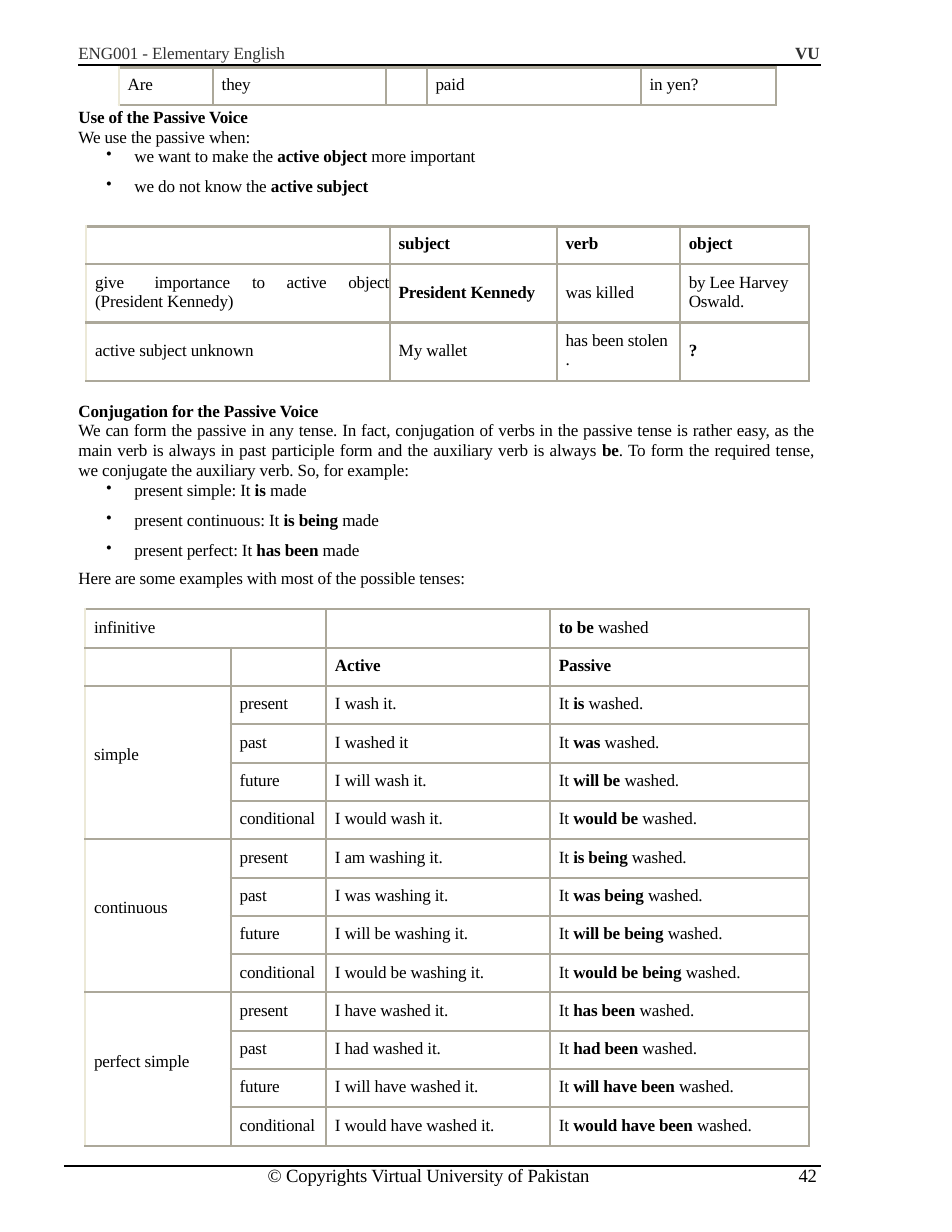
from dataclasses import dataclass
from typing import Optional

from lxml.etree import SubElement
from pptx import Presentation
from pptx.dml.color import RGBColor
from pptx.enum.shapes import MSO_CONNECTOR
from pptx.enum.text import MSO_ANCHOR, MSO_AUTO_SIZE, PP_ALIGN
from pptx.oxml import parse_xml
from pptx.oxml.ns import nsdecls, qn
from pptx.util import Inches, Pt

COLORS = {"ink": "000000", "header": "323232", "border": "ACA89A", "edge": "ECE9D8"}
FONT = "Times New Roman"


@dataclass
class Passage:
    left: float
    top: float
    width: float
    height: float
    lines: list[str]
    size: float = 11
    color: str = "ink"
    leading: Optional[float] = None
    bulleted: bool = False
    justified: bool = False


@dataclass
class Grid:
    left: float
    top: float
    columns: list[float]
    heights: list[float]
    rows: list[list[str]]
    top_border: float = 2.25


def write_line(paragraph, marked: str, size: float = 11, color: str = "ink") -> None:
    for position, part in enumerate(marked.split("**")):
        if not part:
            continue
        run = paragraph.add_run()
        run.text = part
        run.font.name = FONT
        run.font.size = Pt(size)
        run.font.bold = position % 2 == 1
        run.font.color.rgb = RGBColor.from_string(COLORS[color])
        run.font._element.set("spc", "-10")


def add_bullet(paragraph) -> None:
    properties = paragraph._p.get_or_add_pPr()
    properties.set("marL", str(Inches(0.26)))
    properties.set("indent", str(Inches(-0.25)))
    SubElement(properties, qn("a:buSzPct")).set("val", "91000")
    SubElement(properties, qn("a:buChar")).set("char", "•")


def fill_passage(shape, passage: Passage) -> None:
    shape.left, shape.top = Inches(passage.left), Inches(passage.top)
    shape.width, shape.height = Inches(passage.width), Inches(passage.height)
    frame = shape.text_frame
    frame.word_wrap = True
    frame.auto_size = MSO_AUTO_SIZE.NONE
    frame.vertical_anchor = MSO_ANCHOR.TOP
    frame.margin_left = Inches(0 if passage.bulleted else 0.01)
    frame.margin_top = Inches(0.09 if passage.bulleted else 0.01)
    frame.margin_right = frame.margin_bottom = 0
    for index, line in enumerate(passage.lines):
        paragraph = frame.add_paragraph() if index else frame.paragraphs[0]
        if passage.bulleted:
            add_bullet(paragraph)
            if index:
                paragraph.space_before = Pt(6)
        paragraph.alignment = PP_ALIGN.JUSTIFY if passage.justified else PP_ALIGN.LEFT
        if passage.leading:
            paragraph.line_spacing = Pt(passage.leading)
        write_line(paragraph, line, passage.size, passage.color)


def add_passage(slide, passage: Passage) -> None:
    fill_passage(slide.shapes.add_textbox(0, 0, 0, 0), passage)


def add_rule(slide, left: float, right: float, y: float) -> None:
    rule = slide.shapes.add_connector(
        MSO_CONNECTOR.STRAIGHT, Inches(left), Inches(y), Inches(right), Inches(y))
    rule.line.color.rgb = RGBColor.from_string(COLORS["ink"])
    rule.line.width = Pt(1.5)
    SubElement(rule._element.spPr, qn("a:effectLst"))


def draw_borders(cell, outer_left: bool, top_width: float) -> None:
    properties = cell._tc.get_or_add_tcPr()
    sides = [("lnL", "edge" if outer_left else "border", 1.5), ("lnR", "border", 1.5),
             ("lnT", "border", top_width), ("lnB", "border", 1.5)]
    for index, (side, color, width) in enumerate(sides):
        properties.insert(index, parse_xml(
            f'<a:{side} {nsdecls("a")} w="{Pt(width)}"><a:solidFill>'
            f'<a:srgbClr val="{COLORS[color]}"/></a:solidFill></a:{side}>'))


def add_grid(slide, grid: Grid):
    table = slide.shapes.add_table(
        len(grid.rows), len(grid.columns), Inches(grid.left), Inches(grid.top),
        Inches(sum(grid.columns)), Inches(sum(grid.heights))).table
    table.first_row = table.horz_banding = False
    for column, width in zip(table.columns, grid.columns):
        column.width = Inches(width)
    for r, (texts, height) in enumerate(zip(grid.rows, grid.heights)):
        table.rows[r].height = Inches(height)
        for c, text in enumerate(texts):
            cell = table.cell(r, c)
            cell.margin_left = Inches(0.08)
            cell.margin_right = cell.margin_top = 0
            cell.margin_bottom = Inches(0.02)
            cell.vertical_anchor = MSO_ANCHOR.MIDDLE
            cell.fill.background()
            draw_borders(cell, c == 0, 1.5 if r else grid.top_border)
            for index, line in enumerate(text.split("\n")):
                frame = cell.text_frame
                paragraph = frame.add_paragraph() if index else frame.paragraphs[0]
                write_line(paragraph, line)
    return table


def add_tab_stops(paragraph, stops: list[float]) -> None:
    tabs = SubElement(paragraph._p.get_or_add_pPr(), qn("a:tabLst"))
    for stop in stops:
        tab = SubElement(tabs, qn("a:tab"))
        tab.set("pos", str(Inches(stop)))
        tab.set("algn", "l")


TIMES = ["present", "past", "future", "conditional"]
ASPECTS = {
    "simple": [("I wash it.", "is"), ("I washed it", "was"),
               ("I will wash it.", "will be"), ("I would wash it.", "would be")],
    "continuous": [("I am washing it.", "is being"), ("I was washing it.", "was being"),
                   ("I will be washing it.", "will be being"),
                   ("I would be washing it.", "would be being")],
    "perfect simple": [("I have washed it.", "has been"), ("I had washed it.", "had been"),
                       ("I will have washed it.", "will have been"),
                       ("I would have washed it.", "would have been")],
}

PASSAGES = [
    Passage(7.09, 0.37, 0.25, 0.21, ["**VU**"], color="header"),
    Passage(2.38, 10.38, 2.98, 0.23, ["© Copyrights Virtual University of Pakistan"], 12),
    Passage(7.12, 10.38, 0.19, 0.23, ["42"], 12),
    Passage(0.69, 0.94, 1.8, 0.39,
            ["**Use of the Passive Voice**", "We use the passive when:"], leading=12.9),
    Passage(0.94, 1.21, 3.5, 0.56,
            ["we want to make the **active object** more important",
             "we do not know the **active subject**"], bulleted=True),
    Passage(0.69, 3.57, 6.58, 0.74,
            ["**Conjugation for the Passive Voice**",
             "We can form the passive in any tense. In fact, conjugation of verbs in the "
             "passive tense is rather easy, as the main verb is always in past participle "
             "form and the auxiliary verb is always **be**. To form the required tense, "
             "we conjugate the auxiliary verb. So, for example:"],
            leading=12.7, justified=True),
    Passage(0.94, 4.19, 2.6, 0.82,
            ["present simple: It **is** made", "present continuous: It **is being** made",
             "present perfect: It **has been** made"], bulleted=True),
    Passage(0.69, 5.06, 3.7, 0.21,
            ["Here are some examples with most of the possible tenses:"]),
]


def main() -> None:
    deck = Presentation()
    deck.slide_width, deck.slide_height = Inches(8.5), Inches(11)
    slide = deck.slides.add_slide(deck.slide_layouts[5])
    fill_passage(slide.shapes.title, Passage(
        0.69, 0.37, 1.95, 0.21, ["ENG001 - Elementary English"], color="header"))
    for passage in PASSAGES:
        add_passage(slide, passage)
    add_rule(slide, 0.7, 7.33, 0.58)
    add_rule(slide, 0.57, 7.33, 10.41)

    add_grid(slide, Grid(1.06, 0.6, [0.84, 1.55, 0.36, 1.91, 1.21], [0.34],
                         [["Are", "they", "", "paid", "in yen?"]]))

    uses = add_grid(slide, Grid(
        0.77, 2.02, [2.71, 1.49, 1.1, 1.15], [0.34, 0.52, 0.52],
        [["", "**subject**", "**verb**", "**object**"],
         ["give\timportance\tto\tactive\tobject (President Kennedy)",
          "**President Kennedy**", "was killed", "by Lee Harvey Oswald."],
         ["active subject unknown", "My wallet", "has been stolen\n.", "**?**"]]))
    add_tab_stops(uses.cell(1, 0).text_frame.paragraphs[0], [0.53, 1.4, 1.71, 2.26])

    tense_rows = [["infinitive", "", "", "**to be** washed"],
                  ["", "", "**Active**", "**Passive**"]]
    for aspect, forms in ASPECTS.items():
        for index, (time, (active, verb)) in enumerate(zip(TIMES, forms)):
            tense_rows.append(["" if index else aspect, time, active,
                               f"It **{verb}** washed."])
    tenses = add_grid(slide, Grid(
        0.76, 5.44, [1.3, 0.85, 2, 2.31], [4.79 / len(tense_rows)] * len(tense_rows),
        tense_rows, top_border=1.5))
    tenses.cell(0, 0).merge(tenses.cell(0, 1))
    for first in range(2, len(tense_rows), len(TIMES)):
        aspect_cell = tenses.cell(first, 0)
        aspect_cell.merge(tenses.cell(first + len(TIMES) - 1, 0))
        aspect_cell.margin_bottom = Inches(0.14)

    deck.save("out.pptx")


if __name__ == "__main__":
    main()
